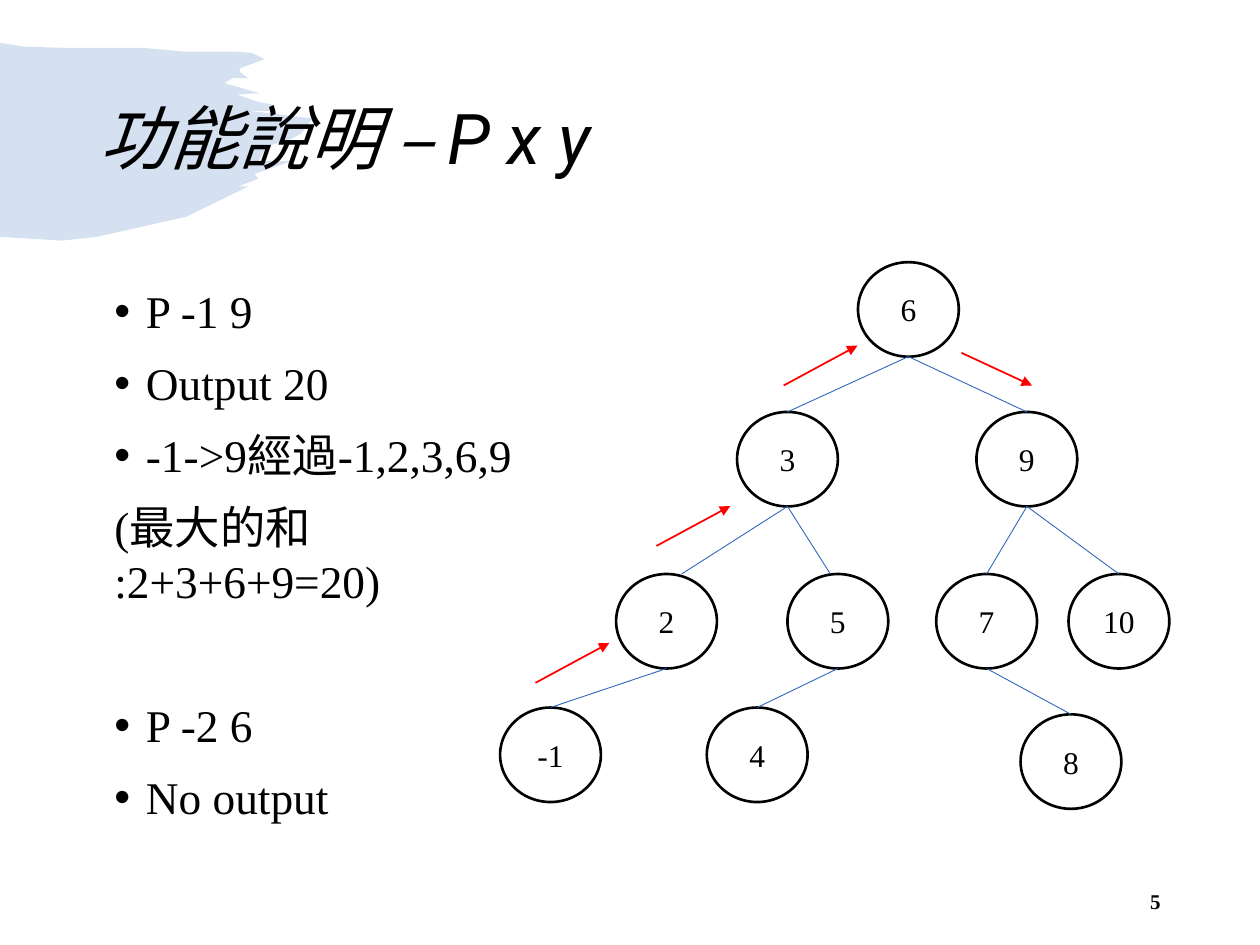
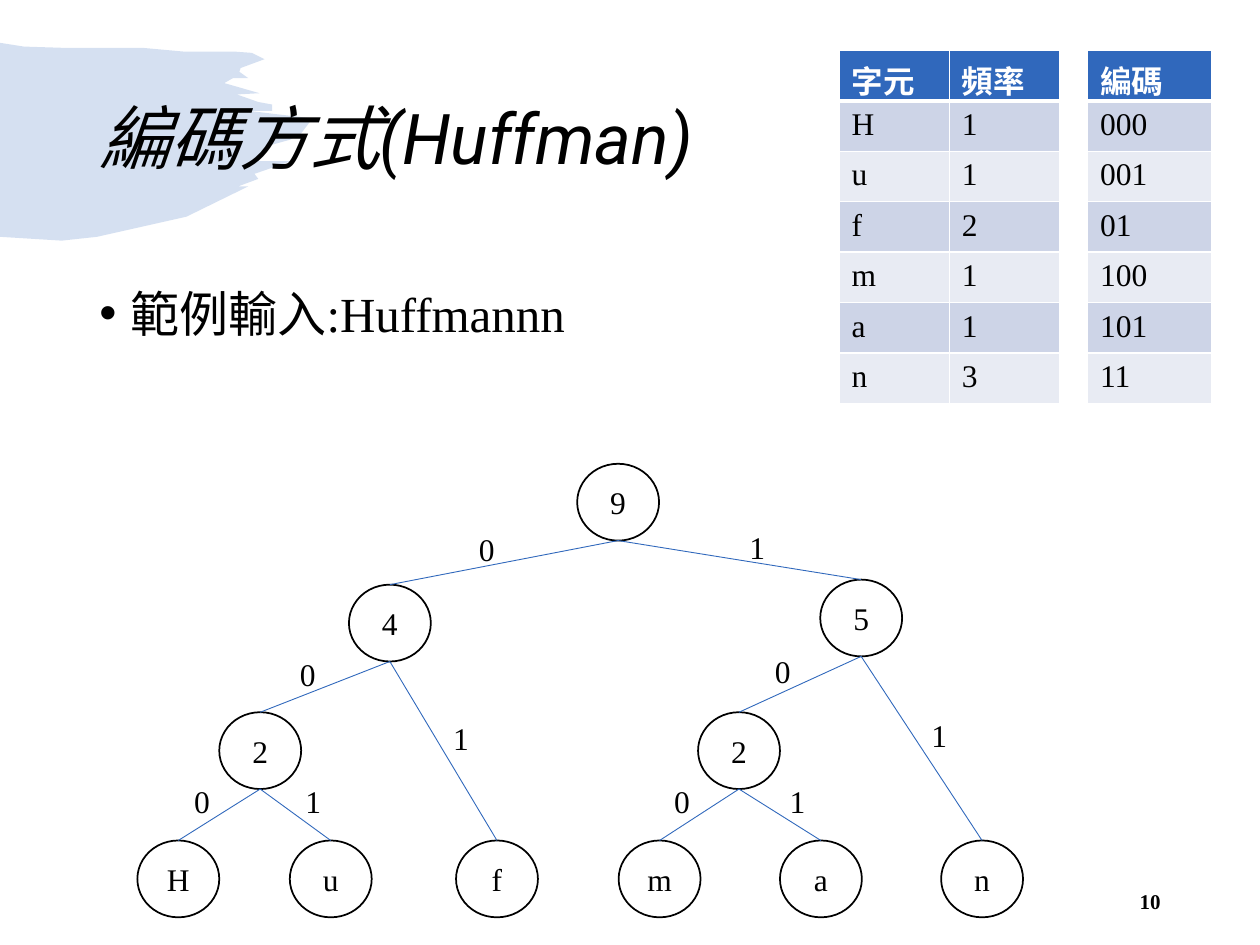
"""Build two slides that explain a tree path sum and Huffman coding."""
import collections

import pptx
import pptx.dml.color
import pptx.enum.shapes
import pptx.enum.text
import pptx.oxml
import pptx.oxml.ns
import pptx.util

Pt = pptx.util.Pt
ALIGN = pptx.enum.text.PP_ALIGN
ANCHOR = pptx.enum.text.MSO_ANCHOR
SHAPE = pptx.enum.shapes.MSO_SHAPE
STRAIGHT = pptx.enum.shapes.MSO_CONNECTOR.STRAIGHT
BLACK = pptx.dml.color.RGBColor(0x00, 0x00, 0x00)
WHITE = pptx.dml.color.RGBColor(0xFF, 0xFF, 0xFF)
BLUE = pptx.dml.color.RGBColor(0x30, 0x68, 0xBC)
RED = pptx.dml.color.RGBColor(0xFF, 0x00, 0x00)
BANDS = (pptx.dml.color.RGBColor(0xE8, 0xEB, 0xF3),
         pptx.dml.color.RGBColor(0xCD, 0xD4, 0xE7))
SERIF = "Times New Roman"
TITLE_FONT = "Roboto"
NAMESPACE = pptx.oxml.ns.nsdecls("a")

BRUSH_OUTLINE = (
    (0, 34), (19, 37), (50, 38), (113, 38), (146, 41), (186, 41), (200, 42), (210, 47),
    (191, 54), (190, 57), (197, 62), (185, 62), (178, 66), (206, 74), (188, 75), (205, 81),
    (216, 83), (216, 88), (197, 88), (248, 94), (239, 106), (230, 111), (212, 116),
    (205, 128), (231, 128), (202, 138), (205, 142), (189, 148), (197, 148), (148, 172),
    (77, 188), (49, 191), (0, 188))

PATH_ROWS = (
    (149.8, {"6": 490.3}),
    (235.4, {"3": 421.2, "9": 558}),
    (328, {"2": 352.1, "5": 450, "7": 535, "10": 610.6}),
    (404.3, {"-1": 285.8, "4": 403.9}),
    (408.2, {"8": 583.2}))
PATH_CHILDREN = {"6": ("3", "9"), "3": ("2", "5"), "9": ("7", "10"),
                 "2": ("-1",), "5": ("4",), "7": ("8",)}
PATH_SHIFTS = {"2": 8.6, "5": -4.3}
PATH_CLIMBS = ((306, 390.2), (375.1, 312), (447.8, 220.3))
PATH_LINES = (("P -1 9", True, 10), ("Output 20", True, 10), ("-1->9經過-1,2,3,6,9", True, 10),
              ("(最大的和 :2+3+6+9=20)", False, 10), ("P -2 6", True, 51), ("No output", True, 10))

WORD = "Huffmannn"
CODE_ROWS = (
    (265, {"": 329.8}),
    (334.1, {"0": 199.4}),
    (331.2, {"1": 468.7}),
    (407, {"00": 125.3, "10": 398.9}),
    (480.3, {"000": 78.5, "001": 165.6, "01": 260.6, "100": 353.5, "101": 445.7, "11": 537.8}))
CODE_LABELS = {"": "9", "0": "4", "1": "5", "00": "2", "10": "2", "000": "H",
               "001": "u", "01": "f", "100": "m", "101": "a", "11": "n"}
BIT_OFFSETS = {"0": -21.5, "1": -1.5}


def style_paragraph(para, size, color=BLACK, font=SERIF, bold=False, italic=False):
    """Format every run of a paragraph."""
    for span in para.runs:
        span.font.size = Pt(size)
        span.font.name = font
        span.font.color.rgb = color
        span.font.bold = bold
        span.font.italic = italic


def add_text(page, text, left, top, width, height, size, anchor=ANCHOR.TOP, **style):
    """Add a text box and return its first paragraph."""
    box = page.shapes.add_textbox(Pt(left), Pt(top), Pt(width), Pt(height))
    box.text_frame.word_wrap = True
    box.text_frame.vertical_anchor = anchor
    box.text_frame.text = text
    para = box.text_frame.paragraphs[0]
    style_paragraph(para, size, **style)
    return para


def add_body(page, lines, left, width, height, size):
    """Add the body text from (text, bulleted, space before) lines."""
    box = page.shapes.add_textbox(Pt(left), Pt(158.4), Pt(width), Pt(height))
    box.text_frame.word_wrap = True
    box.text_frame.text = "\n".join(text for text, _, _ in lines)
    for para, (_, bulleted, space) in zip(box.text_frame.paragraphs, lines):
        para.space_before = Pt(space)
        style_paragraph(para, size)
        if bulleted:
            properties = para._p.get_or_add_pPr()
            properties.set("marL", str(Pt(18)))
            properties.set("indent", str(-Pt(18)))
            properties.append(pptx.oxml.parse_xml(f'<a:buFont {NAMESPACE} typeface="Arial"/>'))
            properties.append(pptx.oxml.parse_xml(f'<a:buChar {NAMESPACE} char="•"/>'))


def add_brush(page):
    """Add the translucent brush stroke behind the title."""
    builder = page.shapes.build_freeform(*BRUSH_OUTLINE[0], scale=Pt(0.72))
    builder.add_line_segments(BRUSH_OUTLINE[1:], close=True)
    brush = builder.convert_to_shape()
    brush.shadow.inherit = False
    brush.fill.solid()
    brush.fill.fore_color.rgb = BLUE
    brush.line.fill.background()
    color = brush._element.spPr.find(".//" + pptx.oxml.ns.qn("a:srgbClr"))
    color.append(pptx.oxml.parse_xml(f'<a:alpha {NAMESPACE} val="20000"/>'))


def add_page(deck, title, number):
    """Add a page with its brush, title and page number."""
    page = deck.slides.add_slide(deck.slide_layouts[6])
    add_brush(page)
    heading = add_text(page, title, 49.7, 28.8, 620.6, 104.4, 40,
                       anchor=ANCHOR.MIDDLE, font=TITLE_FONT, italic=True)
    heading.line_spacing = 0.9
    footer = add_text(page, number, 508.3, 500.4, 162, 28.8, 12,
                      anchor=ANCHOR.MIDDLE, bold=True)
    footer.alignment = ALIGN.RIGHT
    return page


def add_node(page, label, left, top, width, height, weight):
    """Add one round tree node."""
    node = page.shapes.add_shape(SHAPE.OVAL, Pt(left), Pt(top), Pt(width), Pt(height))
    node.shadow.inherit = False
    node.fill.solid()
    node.fill.fore_color.rgb = WHITE
    node.line.color.rgb = BLACK
    node.line.width = Pt(weight)
    node.text_frame.vertical_anchor = ANCHOR.MIDDLE
    node.text_frame.word_wrap = False
    node.text_frame.text = label
    para = node.text_frame.paragraphs[0]
    para.alignment = ALIGN.CENTER
    style_paragraph(para, 18)
    return node


def add_nodes(page, rows, labels, width, height, weight):
    """Add rows of nodes and return them by key."""
    return {key: add_node(page, labels.get(key, key), left, top, width, height, weight)
            for top, lefts in rows for key, left in lefts.items()}


def add_line(page, start_x, start_y, end_x, end_y, color, weight):
    """Add a straight line without a shadow."""
    line = page.shapes.add_connector(STRAIGHT, start_x, start_y, end_x, end_y)
    line.line.color.rgb = color
    line.line.width = Pt(weight)
    line._element.spPr.append(pptx.oxml.parse_xml(f"<a:effectLst {NAMESPACE}/>"))
    return line


def add_edge(page, parent, child, shift=0):
    """Join the bottom of a parent to the top of a child, shifted sideways if asked."""
    edge = add_line(page, parent.left + parent.width // 2, parent.top + parent.height,
                    child.left + child.width // 2 + Pt(shift), child.top, BLUE, 0.5)
    edge.begin_connect(parent, 2)
    oval_bottom = "4"
    edge._element.find(".//" + pptx.oxml.ns.qn("a:stCxn")).set("idx", oval_bottom)
    if not shift:
        edge.end_connect(child, 0)
    return edge


def add_arrow(page, left, top, run, rise):
    """Add a red arrow that shows the direction of the path."""
    arrow = add_line(page, Pt(left), Pt(top), Pt(left + run), Pt(top + rise), RED, 1)
    arrow.line._get_or_add_ln().append(
        pptx.oxml.parse_xml(f'<a:tailEnd {NAMESPACE} type="triangle"/>'))


def set_borders(cell, top, bottom):
    """Give a cell white borders with the given top and bottom weights."""
    properties = cell._tc.get_or_add_tcPr()
    for index, (side, weight) in enumerate((("L", 1), ("R", 1), ("T", top), ("B", bottom))):
        properties.insert(index, pptx.oxml.parse_xml(
            f'<a:ln{side} {NAMESPACE} w="{Pt(weight)}"><a:solidFill>'
            f'<a:srgbClr val="{WHITE}"/></a:solidFill></a:ln{side}>'))


def add_banded_table(page, rows, left, column_width, row_height):
    """Add a table with a blue header and banded rows."""
    columns = len(rows[0])
    table = page.shapes.add_table(
        len(rows), columns, Pt(left), Pt(28.8),
        Pt(column_width * columns), Pt(row_height * len(rows))).table
    for r, values in enumerate(rows):
        header = r == 0
        for c, value in enumerate(values):
            cell = table.cell(r, c)
            cell.text_frame.text = value
            style_paragraph(cell.text_frame.paragraphs[0], 18,
                            color=WHITE if header else BLACK, bold=header)
            cell.fill.solid()
            cell.fill.fore_color.rgb = BLUE if header else BANDS[r % 2]
            set_borders(cell, 3 if r == 1 else 1, 3 if header else 1)


def build_path_page(deck):
    """Build the page about the path between two nodes."""
    page = add_page(deck, "功能說明 – P x y", "5")
    add_body(page, PATH_LINES, 58.3, 283.7, 331.9, 25.9)
    nodes = add_nodes(page, PATH_ROWS, {}, 57.6, 54, 1.5)
    for parent, children in PATH_CHILDREN.items():
        for child in children:
            add_edge(page, nodes[parent], nodes[child], PATH_SHIFTS.get(child, 0))
    for left, top in PATH_CLIMBS:
        add_arrow(page, left, top, 42.2, -22.8)
    add_arrow(page, 549.4, 201.6, 40.3, 18.7)


def build_code_page(deck):
    """Build the page about Huffman coding."""
    page = add_page(deck, "編碼方式(Huffman)", "10")
    add_body(page, ((f"範例輸入:{WORD}", True, 10),), 49.7, 620.6, 52.6, 28)
    counts = collections.Counter(WORD)
    codes = {label: code for code, label in CODE_LABELS.items()}
    frequency_rows = [("字元", "頻率")] + [(letter, str(n)) for letter, n in counts.items()]
    code_rows = [("編碼",)] + [(codes[letter],) for letter in counts]
    add_banded_table(page, frequency_rows, 479.5, 63, 25.2)
    add_banded_table(page, code_rows, 621.4, 71.3, 28.8)
    nodes = add_nodes(page, CODE_ROWS, CODE_LABELS, 46.8, 43.9, 1)
    for code, node in nodes.items():
        if code:
            bit = code[-1]
            edge = add_edge(page, nodes[code[:-1]], node)
            middle_x = (edge.begin_x + edge.end_x) / 2 / Pt(1)
            middle_y = (edge.begin_y + edge.end_y) / 2 / Pt(1)
            add_text(page, bit, middle_x + BIT_OFFSETS[bit], middle_y - 22, 25.2, 28.8, 18)


def main():
    """Build and save the deck."""
    deck = pptx.Presentation()
    deck.slide_width = Pt(720)
    deck.slide_height = Pt(540)
    build_path_page(deck)
    build_code_page(deck)
    deck.save("out.pptx")


if __name__ == "__main__":
    main()
